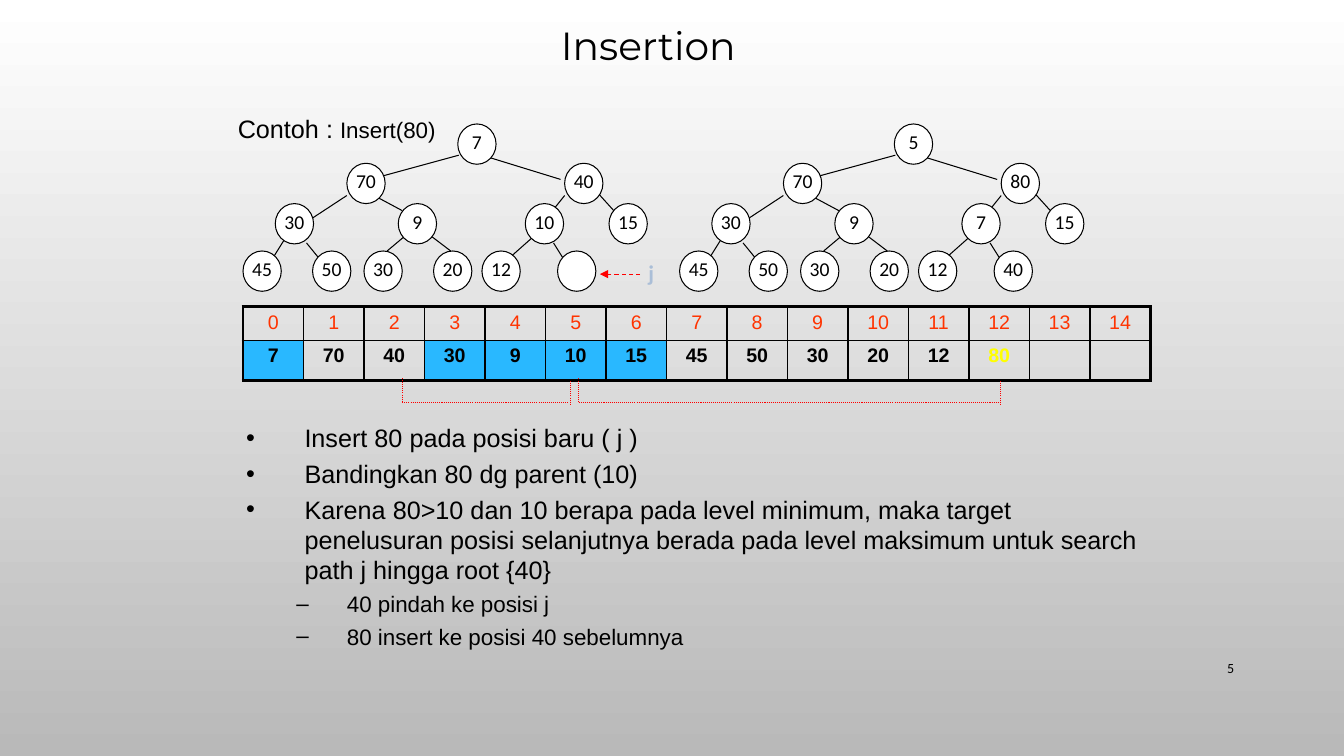
"""Build the slide on insertion into a min-max heap."""
from dataclasses import dataclass
from itertools import product
from lxml import etree
from pptx import Presentation
from pptx.dml.color import RGBColor
from pptx.enum.dml import MSO_LINE
from pptx.enum.shapes import MSO_CONNECTOR, MSO_SHAPE
from pptx.enum.text import MSO_ANCHOR, MSO_AUTO_SIZE, PP_ALIGN
from pptx.oxml.ns import qn
from pptx.slide import Slide
from pptx.util import Inches, Pt

BLACK = RGBColor(0, 0, 0)
WHITE = RGBColor(255, 255, 255)
GRAY = RGBColor(0xB9, 0xB9, 0xB9)
RED = RGBColor(255, 0, 0)
ORANGE = RGBColor(0xFF, 0x33, 0)
BLUE = RGBColor(0x29, 0xB8, 0xFF)
PALE = RGBColor(0xAA, 0xBE, 0xD7)
YELLOW = RGBColor(255, 255, 0)
LEFT, MID, RIGHT = PP_ALIGN.LEFT, PP_ALIGN.CENTER, PP_ALIGN.RIGHT
TOP, CENTER = MSO_ANCHOR.TOP, MSO_ANCHOR.MIDDLE
FIXED = MSO_AUTO_SIZE.NONE
DASH, DOT = MSO_LINE.DASH, MSO_LINE.ROUND_DOT
OVAL, LINE = MSO_SHAPE.OVAL, MSO_CONNECTOR.STRAIGHT
SIDES = ("left", "top", "width", "height")
MARGINS = ("margin_left", "margin_top", "margin_right", "margin_bottom")


def apply(item, values):
    for name, value in values.items():
        setattr(item, name, value)


@dataclass
class Page:
    slide: Slide
    style: dict

    def back(self, first, last):
        fill = self.slide.background.fill
        fill.gradient()
        fill.gradient_angle = 270
        for stop, color in zip(fill.gradient_stops, (first, last)):
            stop.color.rgb = color

    def text(self, para, words, align=LEFT, color=BLACK, **font):
        para.alignment = align
        run = para.add_run()
        run.text = words
        apply(run.font, self.style | font)
        run.font.color.rgb = color

    def indent(self, para, left, hang):
        para.space_before = Pt(4)
        props = para._p.get_or_add_pPr()
        props.set("marL", str(Inches(left)))
        props.set("indent", str(Inches(-hang)))

    def place(self, holder, box):
        apply(holder, dict(zip(SIDES, map(Inches, box))))
        holder.text_frame.auto_size = FIXED
        return holder.text_frame

    def title(self, box, words, **font):
        self.text(self.place(self.slide.shapes.title, box).paragraphs[0], words, MID, **font)

    def body(self, box, items):
        frame = self.place(self.slide.placeholders[1], box)
        for spot, (level, words) in enumerate(items):
            para = frame.add_paragraph() if spot else frame.paragraphs[0]
            para.level = level
            self.indent(para, *((0.58, 0.58), (1, 0.5))[level])
            self.text(para, words, size=Pt((18, 16)[level]))

    def label(self, box, words, align=LEFT, anchor=TOP, inset=None, **font):
        frame = self.slide.shapes.add_textbox(*map(Inches, box)).text_frame
        apply(frame, {"word_wrap": True, "vertical_anchor": anchor})
        if inset is not None:
            apply(frame, dict.fromkeys(MARGINS, Inches(inset)))
        self.text(frame.paragraphs[0], words, align, **font)
        return frame.paragraphs[0]

    def line(self, start, end, color=BLACK, dash=None, arrow=False):
        wire = self.slide.shapes.add_connector(LINE, *map(Inches, (*start, *end)))
        apply(wire.line, {"width": Pt(0.75), "dash_style": dash})
        wire.line.color.rgb = color
        props = wire._element.spPr
        if arrow:
            etree.SubElement(props.find(qn("a:ln")), qn("a:tailEnd"), type="triangle")
        etree.SubElement(props, qn("a:effectLst"))

    def node(self, left, top, words):
        oval = self.slide.shapes.add_shape(OVAL, *map(Inches, (left, top, 0.38, 0.4)))
        oval.shadow.inherit = False
        oval.fill.solid()
        oval.fill.fore_color.rgb = WHITE
        oval.line.color.rgb = BLACK
        oval.line.width = Pt(0.75)
        frame = oval.text_frame
        apply(frame, dict.fromkeys(MARGINS, 0) | {"vertical_anchor": TOP})
        if words:
            self.text(frame.paragraphs[0], words, MID, name="Calibri", size=Pt(14))

    def tree(self, shift, values):
        for (x1, y1), (x2, y2) in EDGES:
            self.line((x1 + shift, y1), (x2 + shift, y2))
        for (left, top), words in zip(NODES, values):
            self.node(left + shift, top, words)

    def border(self, cell, widths):
        props = cell._tc.get_or_add_tcPr()
        for side, width in zip("LRTB", widths):
            edge = etree.SubElement(props, qn("a:ln" + side), w=str(Pt(width)))
            fill = etree.SubElement(edge, qn("a:solidFill"))
            etree.SubElement(fill, qn("a:srgbClr"), val=str(BLACK))

    def table(self, box, rows, marked):
        high, wide = len(rows), len(rows[0])
        grid = self.slide.shapes.add_table(high, wide, *map(Inches, box)).table
        apply(grid, {"first_row": False, "horz_banding": False})
        for row, col in product(range(high), range(wide)):
            cell, words = grid.cell(row, col), rows[row][col]
            outer = (col == 0, col == wide - 1, row == 0, row == high - 1)
            self.border(cell, [2.25 if edge else 1 for edge in outer])
            if row and col in marked:
                cell.fill.solid()
                cell.fill.fore_color.rgb = BLUE
            else:
                cell.fill.background()
            color = ORANGE if row == 0 else YELLOW if words == "80" else BLACK
            self.text(cell.text_frame.paragraphs[0], words, MID, color, size=Pt(14), bold=row > 0)


NODES = [(4.54, 1.23), (3.44, 1.62), (5.6, 1.62)]
NODES += [(x, 2.02) for x in (2.73, 3.95, 5.21, 6.04)]
NODES += [(x, 2.49) for x in (2.41, 3.1, 3.61, 4.3, 4.78, 5.53)]
EDGES = [
    ((4.55, 1.54), (3.67, 1.78)), ((4.78, 1.54), (5.56, 1.78)),
    ((3.44, 1.94), (3.09, 2.17)), ((3.71, 1.94), (3.99, 2.09)),
    ((5.6, 1.94), (5.48, 2.09)), ((5.88, 1.86), (6.16, 2.17)),
    ((2.85, 2.33), (2.7, 2.57)), ((3.04, 2.41), (3.17, 2.57)),
    ((4.03, 2.33), (3.84, 2.49)), ((4.26, 2.33), (4.47, 2.49)),
    ((5.31, 2.33), (5.04, 2.57)), ((5.49, 2.41), (5.59, 2.57)),
]
HEAP = "7 70 40 30 9 10 15 45 50 30 20 12".split()
RESULT = "5 70 80 30 9 7 15 45 50 30 20 12 40".split()
STEPS = [
    (0, "Insert 80 pada posisi baru ( j )"),
    (0, "Bandingkan 80 dg parent (10)"),
    (0, "Karena 80>10 dan 10 berapa pada level minimum, maka target penelusuran posisi "
        "selanjutnya berada pada level maksimum untuk search path j hingga root {40}"),
    (1, "40 pindah ke posisi j"),
    (1, "80 insert ke posisi 40 sebelumnya"),
]
LINKS = [
    ((5.74, 3.99), (9.92, 3.99)), ((9.92, 3.78), (9.92, 4.02)), ((5.74, 3.99), (5.74, 3.75)),
    ((5.66, 3.78), (5.66, 4.02)), ((3.99, 3.75), (3.99, 3.99)), ((3.99, 3.99), (5.64, 3.99)),
]

deck = Presentation()
apply(deck, {"slide_width": Inches(13.33), "slide_height": Inches(7.5)})
page = Page(deck.slides.add_slide(deck.slide_layouts[1]), {"name": "Arial", "size": Pt(18)})
page.back(WHITE, GRAY)
page.title((2.18, 0.17, 8.5, 0.55), "Insertion", name="Montserrat", size=Pt(28))
page.body((2.34, 4.14, 9.06, 2.36), STEPS)
page.label((11.5, 6.43, 0.84, 0.4), "5", RIGHT, CENTER, name="Calibri", size=Pt(10))
intro = page.label((2.26, 1.07, 2.28, 0.39), "Contoh : ")
page.indent(intro, 0.58, 0.58)
page.text(intro, "Insert(80)", size=Pt(16))
page.tree(0, HEAP + [""])
page.tree(4.33, RESULT)
page.line((6.35, 2.72), (5.95, 2.72), RED, DASH, True)
page.label((6.43, 2.57, 0.31, 0.24), "j", inset=0, color=PALE, name="Calibri", size=Pt(16), bold=True)
cells = [[str(spot) for spot in range(15)], HEAP + ["80", "", ""]]
page.table((2.41, 3.04, 9, 0.64), cells, (0, 3, 4, 5, 6))
for start, end in LINKS:
    page.line(start, end, RED, DOT)
deck.save("out.pptx")
